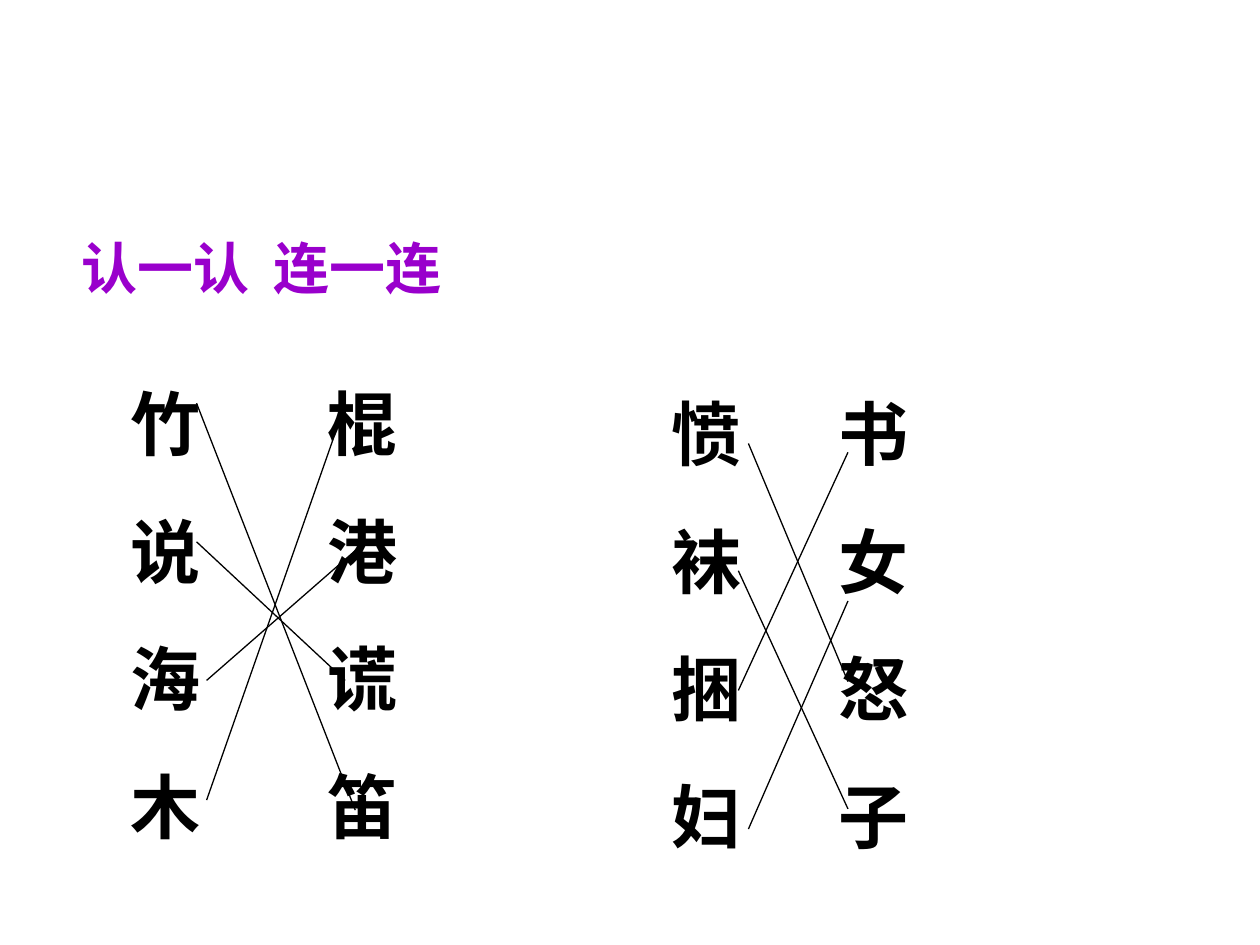
from lxml import etree
from pptx import Presentation
from pptx.dml.color import RGBColor
from pptx.enum.shapes import MSO_CONNECTOR
from pptx.enum.text import MSO_ANCHOR, MSO_AUTO_SIZE, PP_ALIGN
from pptx.oxml.ns import qn
from pptx.util import Inches, Pt

PURPLE = RGBColor(0x99, 0x00, 0xCC)
BLACK = RGBColor(0x00, 0x00, 0x00)
FONT = "Arial"


def add_tab_stop(paragraph, position):
    tabs = etree.SubElement(paragraph._p.get_or_add_pPr(), qn("a:tabLst"))
    etree.SubElement(tabs, qn("a:tab"), pos=str(Inches(position)), algn="l")


def write_columns(text_frame, rows, tab, size, color):
    text_frame.word_wrap = True
    text_frame.auto_size = MSO_AUTO_SIZE.NONE
    text_frame.vertical_anchor = MSO_ANCHOR.TOP
    text_frame.text = "\n".join("\t".join(row) for row in rows)
    for index, paragraph in enumerate(text_frame.paragraphs):
        add_tab_stop(paragraph, tab)
        paragraph.alignment = PP_ALIGN.LEFT
        paragraph.space_before = Pt(25 if index else 0)
        for run in paragraph.runs:
            run.font.name = FONT
            run.font.size = Pt(size)
            run.font.bold = True
            run.font.color.rgb = color


def place_title(slide, left, top, width, height):
    title = slide.shapes.title
    title.left, title.top = Inches(left), Inches(top)
    title.width, title.height = Inches(width), Inches(height)
    write_columns(title.text_frame, [("认一认", "连一连")], 1.52, 32, PURPLE)


def add_link(slide, left, top, start, end):
    link = slide.shapes.add_connector(
        MSO_CONNECTOR.STRAIGHT,
        Inches(left + start[0]), Inches(top + start[1]),
        Inches(left + end[0]), Inches(top + end[1]),
    )
    link.line.color.rgb = BLACK
    link.line.width = Pt(0.75)
    etree.SubElement(link._element.spPr, qn("a:effectLst"))


def add_matching_exercise(slide, left, top, width, height, rows, tab, links):
    box = slide.shapes.add_textbox(
        Inches(left), Inches(top), Inches(width), Inches(height)
    )
    write_columns(box.text_frame, rows, tab, 40, BLACK)
    for start, end in links:
        add_link(slide, left, top, start, end)


def main():
    presentation = Presentation()
    presentation.slide_width = Inches(10)
    presentation.slide_height = Inches(7.5)
    slide = presentation.slides.add_slide(presentation.slide_layouts[5])

    place_title(slide, 0.55, 1.8, 3.54, 0.64)
    add_matching_exercise(
        slide, 0.94, 2.97, 2.76, 3.81,
        rows=["竹棍", "说港", "海谎", "木笛"],
        tab=1.56,
        links=[
            ((1.72, 0.47), (0.7, 3.38)),
            ((0.62, 0.23), (1.88, 3.46)),
            ((0.7, 2.43), (1.88, 1.4)),
            ((0.62, 1.33), (1.8, 2.43)),
        ],
    )
    add_matching_exercise(
        slide, 5.23, 3.05, 2.44, 3.81,
        rows=["愤书", "袜女", "捆怒", "妇子"],
        tab=1.33,
        links=[
            ((0.71, 3.53), (1.5, 1.72)),
            ((0.63, 2.43), (1.5, 0.54)),
            ((0.71, 0.47), (1.5, 2.36)),
            ((0.63, 1.48), (1.5, 3.37)),
        ],
    )
    presentation.save("out.pptx")


if __name__ == "__main__":
    main()
